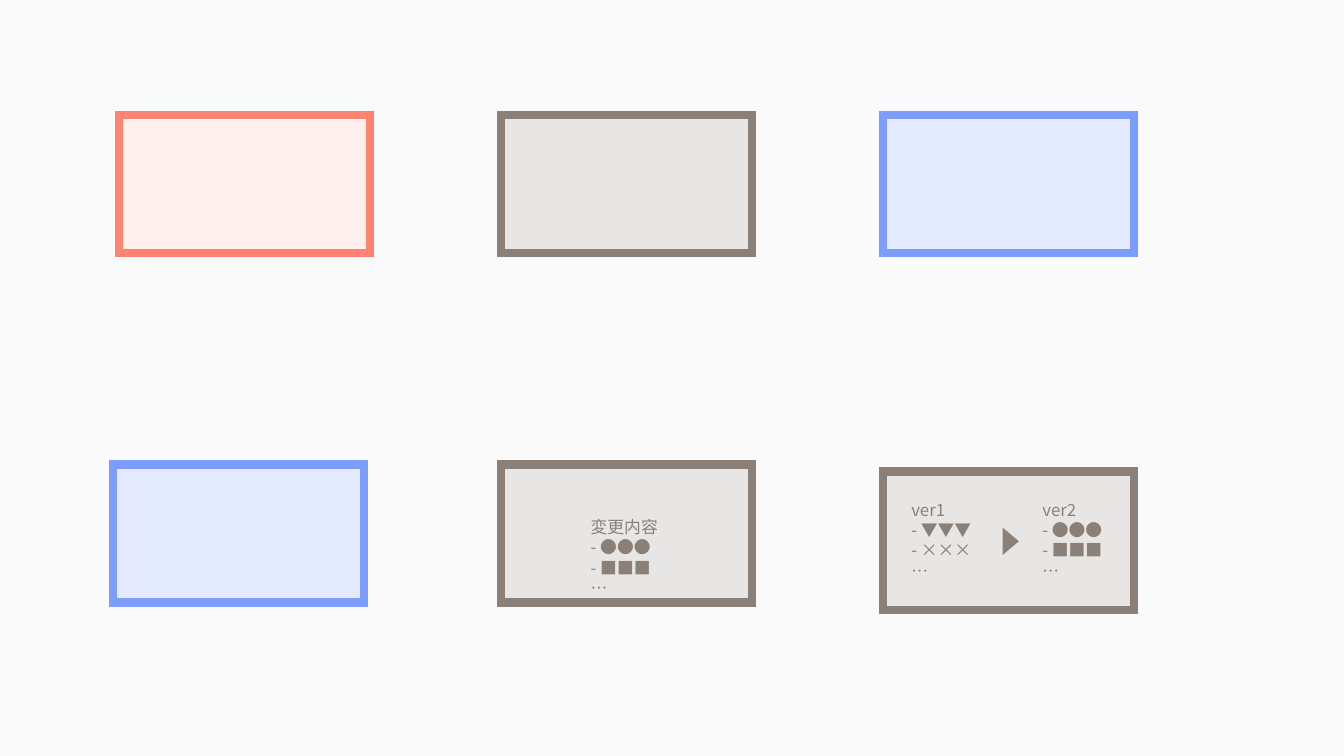
from dataclasses import dataclass

from lxml import etree
from pptx import Presentation
from pptx import util as u
from pptx.dml.color import RGBColor
from pptx.enum import shapes, text
from pptx.oxml import ns


@dataclass(frozen=True)
class Theme:
    background: str = "FAFAFA"
    red: tuple = ("FFEFED", "FF8272")
    grey: tuple = ("E8E6E4", "8A8077")
    blue: tuple = ("E5EBFF", "7D9DFE")
    ink: str = "8A8077"
    font: str = "Noto Sans CJK JP"
    size: int = 12
    border: int = 6


THEME = Theme()
CARD_W, CARD_H = 2.49, 1.37


def rgb(value):
    return RGBColor.from_string(value)


def inches(*lengths):
    return [u.Inches(length) for length in lengths]


def add_card(slide, left, top, colours):
    """Bordered card in its own group, so its content moves with it."""
    fill, border = colours
    card = slide.shapes.add_group_shape()
    frame = card.shapes.add_shape(
        shapes.MSO_SHAPE.RECTANGLE, *inches(left, top, CARD_W, CARD_H))
    frame.shadow.inherit = False
    frame.fill.solid()
    frame.fill.fore_color.rgb = rgb(fill)
    frame.line.color.rgb = rgb(border)
    frame.line.width = u.Pt(THEME.border)
    # Square outer corners
    etree.SubElement(frame.line._get_or_add_ln(), ns.qn("a:miter"), lim="800000")
    return card


def add_notes_list(card, left, top, width, paragraphs):
    """Unwrapped list; a vertical tab inside a paragraph is a line break."""
    box = card.shapes.add_textbox(*inches(left, top, width, 0.91))
    frame = box.text_frame
    frame.word_wrap = False
    frame.auto_size = text.MSO_AUTO_SIZE.SHAPE_TO_FIT_TEXT
    frame.text = "\n".join(paragraphs)
    style = {"size": u.Pt(THEME.size), "name": THEME.font}
    for paragraph in frame.paragraphs:
        for run in paragraph.runs:
            for attribute, value in style.items():
                setattr(run.font, attribute, value)
            run.font.color.rgb = rgb(THEME.ink)
            latin = run._r.get_or_add_rPr().find(ns.qn("a:latin"))
            east_asian = etree.Element(ns.qn("a:ea"), typeface=THEME.font)
            latin.addnext(east_asian)


def add_change_card(slide, left, top):
    """Card that lists the changes."""
    card = add_card(slide, left, top, THEME.grey)
    add_notes_list(card, left + 0.79, top + 0.47, 0.88,
                   ["変更内容\v- ●●●", "- ■■■\v…"])


def add_version_card(slide, left, top):
    """Card that sets two versions side by side with an arrow between."""
    card = add_card(slide, left, top, THEME.grey)
    add_notes_list(card, left + 1.48, top + 0.23, 0.84,
                   ["ver2\v- ●●●", "- ■■■", "…"])
    add_notes_list(card, left + 0.18, top + 0.23, 0.88,
                   ["ver1\v- ▼▼▼", "- ×××", "…"])
    arrow = card.shapes.add_shape(
        shapes.MSO_SHAPE.ISOSCELES_TRIANGLE,
        *inches(left + 1.13, top + 0.61, 0.27, 0.16))
    arrow.rotation = 90
    arrow.shadow.inherit = False
    arrow.fill.solid()
    arrow.fill.fore_color.rgb = rgb(THEME.ink)
    arrow.line.fill.background()


def build_slide(deck):
    slide = deck.slides.add_slide(deck.slide_layouts[6])
    slide.background.fill.solid()
    slide.background.fill.fore_color.rgb = rgb(THEME.background)

    # Empty cards
    for left, top, colours in [(1.18, 1.14, THEME.red),
                               (4.97, 1.14, THEME.grey),
                               (1.12, 4.61, THEME.blue),
                               (8.76, 1.14, THEME.blue)]:
        add_card(slide, left, top, colours)

    # Cards with content
    add_change_card(slide, 4.97, 4.61)
    add_version_card(slide, 8.76, 4.68)


def main():
    deck = Presentation()
    deck.slide_width, deck.slide_height = inches(13.33, 7.5)
    build_slide(deck)
    deck.save("out.pptx")


if __name__ == "__main__":
    main()
